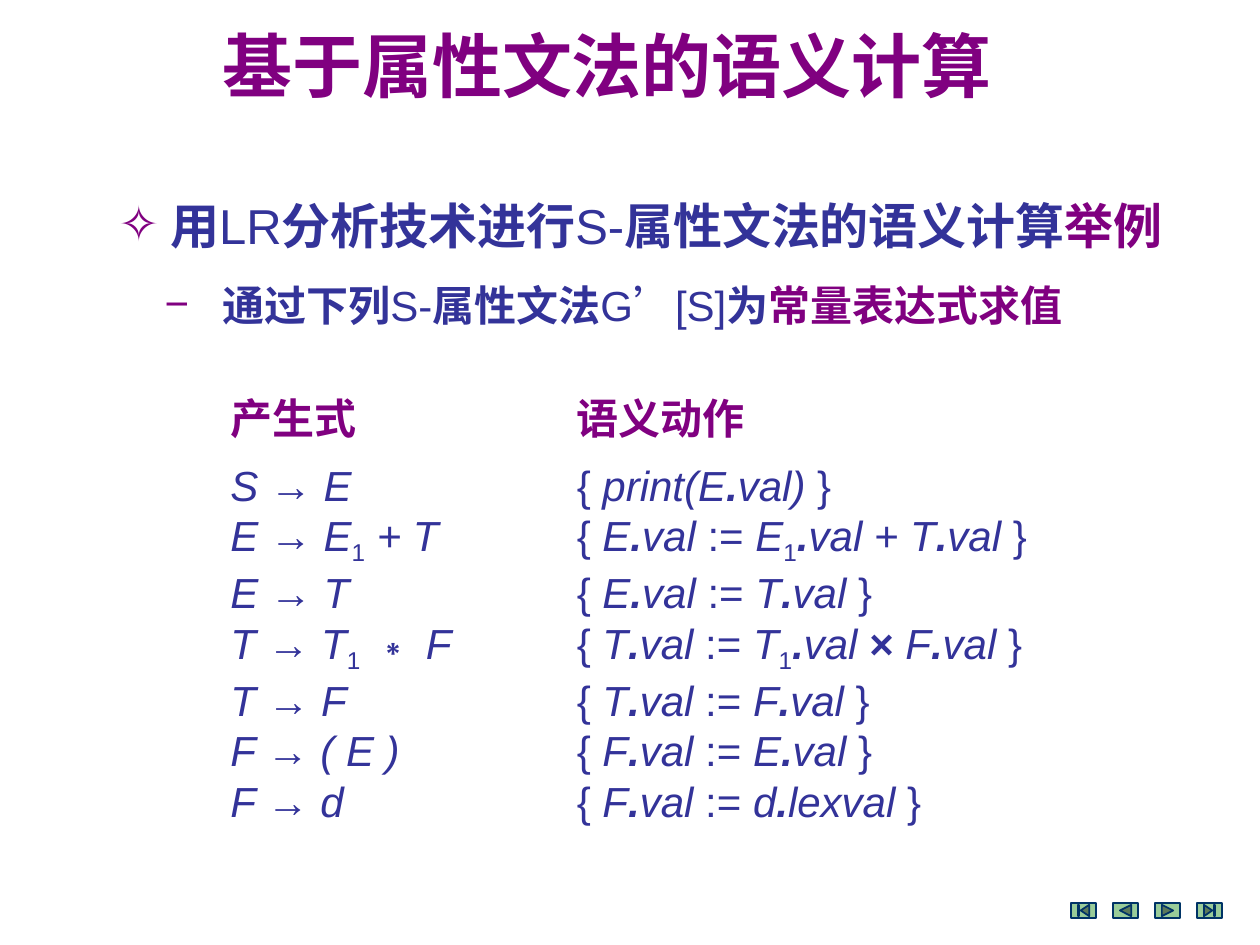
from dataclasses import dataclass
from itertools import groupby

from lxml import etree
from pptx import Presentation
from pptx.dml.color import RGBColor
from pptx.enum.shapes import MSO_SHAPE
from pptx.enum.text import MSO_ANCHOR, MSO_AUTO_SIZE
from pptx.oxml.ns import qn
from pptx.util import Pt

TOP = MSO_ANCHOR.TOP
GROW = MSO_AUTO_SIZE.SHAPE_TO_FIT_TEXT
BUTTONS = (
    MSO_SHAPE.ACTION_BUTTON_BEGINNING,
    MSO_SHAPE.ACTION_BUTTON_BACK_OR_PREVIOUS,
    MSO_SHAPE.ACTION_BUTTON_FORWARD_OR_NEXT,
    MSO_SHAPE.ACTION_BUTTON_END,
)


@dataclass(frozen=True)
class Theme:
    font: str = "Arial"
    purple: RGBColor = RGBColor(0x80, 0x00, 0x80)
    blue: RGBColor = RGBColor(0x33, 0x33, 0x99)
    button: RGBColor = RGBColor(0x99, 0xCC, 0x99)
    button_line: RGBColor = RGBColor(0x00, 0x33, 0x66)
    title: int = 40
    topic: int = 28
    body: int = 24


def symbol_kind(char):
    """Typographic role of one character in a grammar rule."""
    if char == "1":
        return "subscript"
    if char == ".":
        return "dot"
    if char == "×":
        return "times"
    return "upright" if char in "{}:=→∗" else "italic"


class SlideBuilder:
    def __init__(self, slide, theme):
        self.slide = slide
        self.theme = theme

    def text_box(self, left, top, width, height):
        box = self.slide.shapes.add_textbox(Pt(left), Pt(top), Pt(width), Pt(height))
        frame = box.text_frame
        frame.word_wrap = True
        frame.auto_size = GROW
        frame.vertical_anchor = TOP
        return frame

    def span(self, para, text, size, color, bold=False, italic=False):
        span = para.add_run()
        span.text = text
        font = span.font
        font.name, font.size = self.theme.font, Pt(size)
        font.bold, font.italic = bold, italic
        font.color.rgb = color
        return span

    def title(self, text, *place):
        para = self.text_box(*place).paragraphs[0]
        para.line_spacing = 0.9
        self.span(para, text, self.theme.title, self.theme.purple, bold=True)

    def bullet_line(self, bullet, indent, size, spans, *place):
        para = self.text_box(*place).paragraphs[0]
        props = para._p.get_or_add_pPr()
        props.set("marL", str(Pt(indent)))
        props.set("indent", str(-Pt(indent)))
        color = etree.SubElement(props, qn("a:buClr"))
        etree.SubElement(color, qn("a:srgbClr"), val=str(self.theme.purple))
        etree.SubElement(props, qn("a:buFont"), typeface=self.theme.font)
        etree.SubElement(props, qn("a:buChar"), char=bullet)
        for text, color, bold in spans:
            self.span(para, text, size, color, bold)

    def rule_column(self, heading, rules, *place):
        theme = self.theme
        frame = self.text_box(*place)
        para = frame.paragraphs[0]
        para.space_after = Pt(9)
        self.span(para, heading, theme.body, theme.purple, bold=True)
        for rule in rules:
            para = frame.add_paragraph()
            for kind, chars in groupby(rule, symbol_kind):
                span = self.span(para, "".join(chars), theme.body, theme.blue,
                                 bold=kind in ("dot", "times"),
                                 italic=kind in ("dot", "italic"))
                if kind == "subscript":
                    span.font._element.set("baseline", "-25000")

    def button(self, kind, left, top, width, height):
        shape = self.slide.shapes.add_shape(kind, Pt(left), Pt(top), Pt(width), Pt(height))
        shape.shadow.inherit = False
        shape.fill.solid()
        shape.fill.fore_color.rgb = self.theme.button
        shape.line.color.rgb = self.theme.button_line
        shape.line.width = Pt(1)


def main():
    deck = Presentation()
    deck.slide_width, deck.slide_height = Pt(720), Pt(540)
    theme = Theme()
    page = SlideBuilder(deck.slides.add_slide(deck.slide_layouts[6]), theme)
    blue, purple = theme.blue, theme.purple

    # Grammar: productions and their semantic actions
    page.rule_column("产生式", (
        "S → E",
        "E → E1 + T",
        "E → T",
        "T → T1 ∗ F",
        "T → F",
        "F → ( E )",
        "F → d",
    ), 124.5, 221, 181.5, 247)
    page.rule_column("语义动作", (
        "{ print(E.val) }",
        "{ E.val := E1.val + T.val }",
        "{ E.val := T.val }",
        "{ T.val := T1.val × F.val }",
        "{ T.val := F.val }",
        "{ F.val := E.val }",
        "{ F.val := d.lexval }",
    ), 322.5, 221, 289.5, 247)

    # Topic and its explanation
    page.bullet_line("✧", 17, theme.topic, (
        (" ", purple, True),
        ("用", blue, True),
        ("LR", blue, False),
        ("分析技术进行", blue, True),
        ("S-", blue, False),
        ("属性文法的语义计算", blue, True),
        ("举例", purple, True),
    ), 60.5, 108, 636, 41)
    page.bullet_line("−", 33, theme.body, (
        ("通过下列", blue, True),
        ("S-", blue, False),
        ("属性文法", blue, True),
        ("G’[S]", blue, False),
        ("为", blue, True),
        ("常量表达式求值", purple, True),
    ), 87, 156, 579, 36)

    # Navigation buttons
    for index, kind in enumerate(BUTTONS):
        page.button(kind, 612 + 24 * index, 516, 14.4, 8.6)

    # Title
    page.title("基于属性文法的语义计算", 120, 15, 460, 50.5)

    deck.save("out.pptx")


if __name__ == "__main__":
    main()
